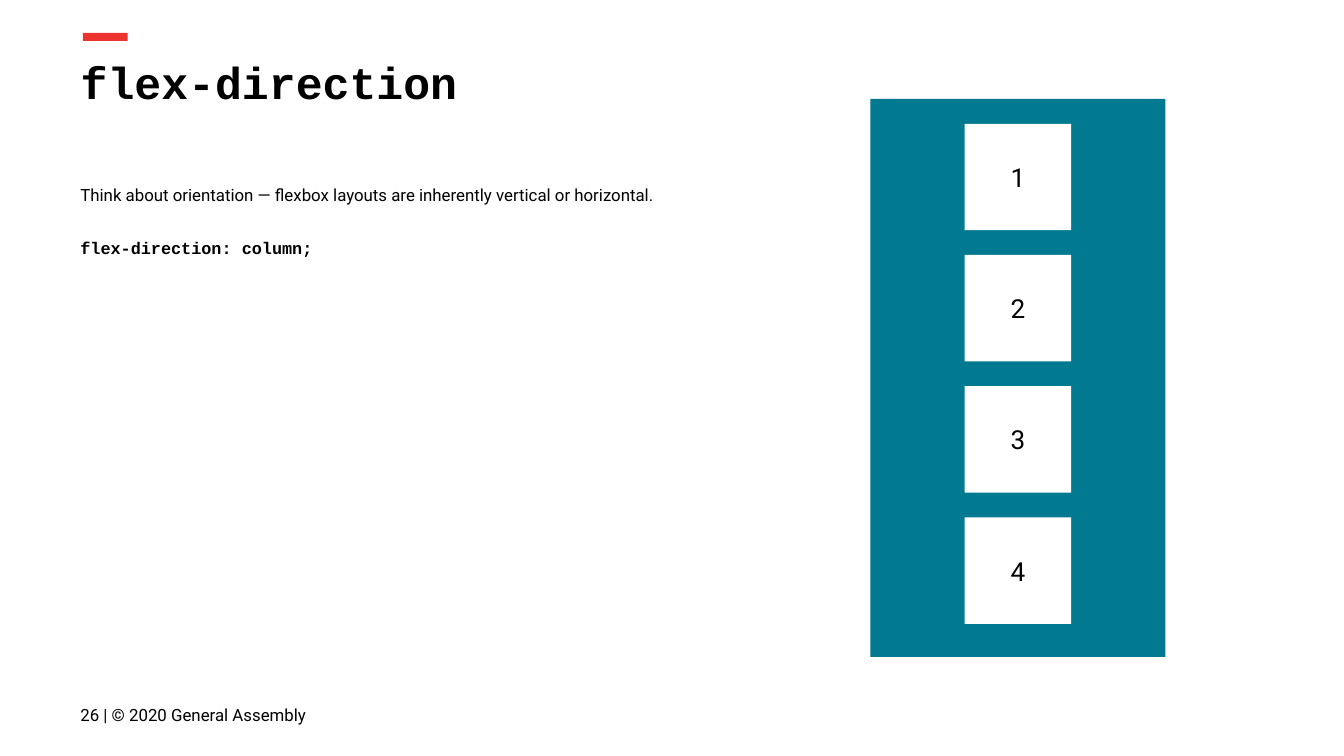
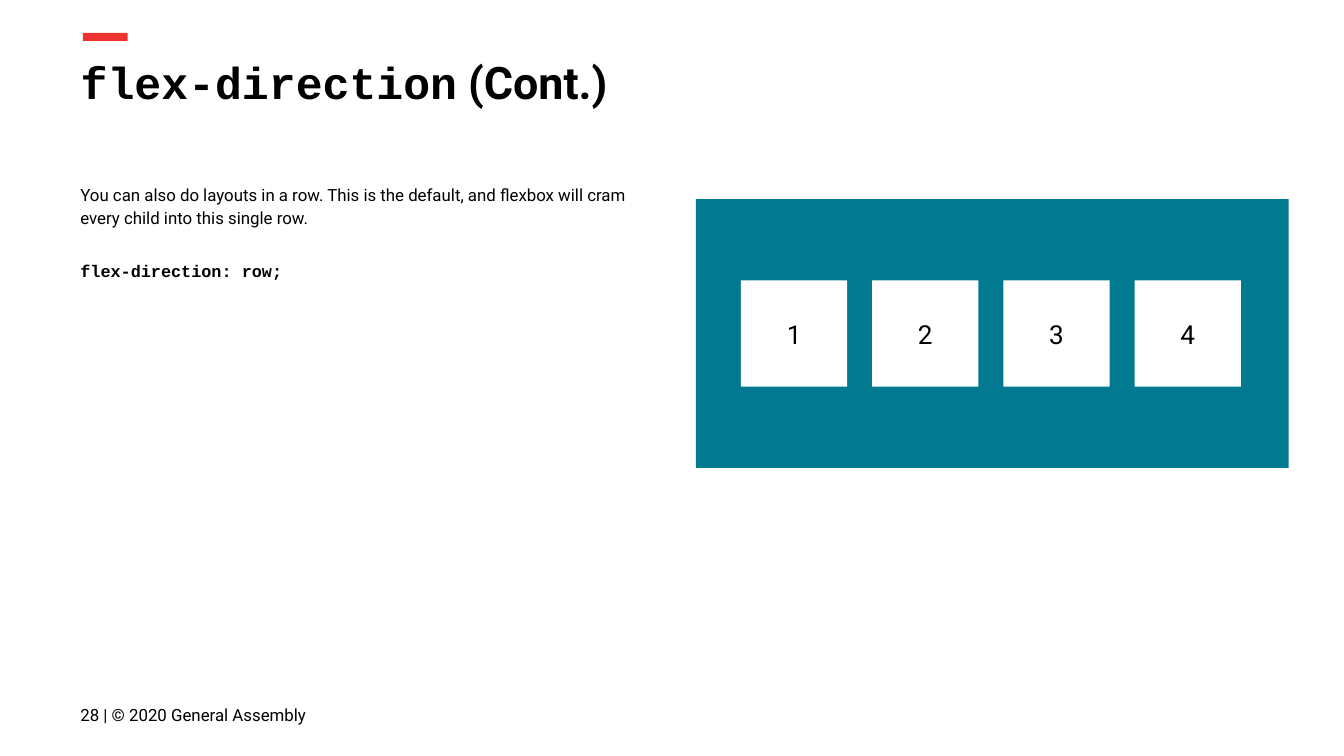
from pptx import Presentation
from pptx.dml.color import RGBColor
from pptx.enum.shapes import MSO_SHAPE
from pptx.enum.text import MSO_ANCHOR, MSO_AUTO_SIZE, PP_ALIGN
from pptx.util import Pt

HUES = {"red": "ED332F", "teal": "017991", "white": "FFFFFF", "black": "000000"}
SANS, CODE = "Roboto", "Courier New"
LEFT, PAD = 36, 7.2
SIDE, STEP = 57, 70.3


def hue(name):
    """Return the named colour."""
    return RGBColor.from_string(HUES[name])


def set_frame(shape, anchor=MSO_ANCHOR.TOP):
    """Give a shape's text frame the shared insets and wrapping."""
    frame = shape.text_frame
    frame.auto_size = MSO_AUTO_SIZE.NONE
    frame.word_wrap = True
    frame.vertical_anchor = anchor
    frame.margin_left = frame.margin_right = Pt(PAD)
    frame.margin_top = frame.margin_bottom = Pt(PAD)
    return frame


def add_run(para, text, size, font=SANS, bold=False):
    """Add one formatted run to a paragraph."""
    run = para.add_run()
    run.text = text
    run.font.size = Pt(size)
    run.font.name = font
    run.font.bold = bold
    run.font.color.rgb = hue("black")


def add_block(slide, box, fill):
    """Draw a flat rectangle without outline."""
    block = slide.shapes.add_shape(MSO_SHAPE.RECTANGLE, *map(Pt, box))
    block.shadow.inherit = False
    block.fill.solid()
    block.fill.fore_color.rgb = hue(fill)
    block.line.fill.background()
    return block


def add_title(slide, parts):
    """Place the red bar and the title, given as text and font pairs."""
    add_block(slide, (44.4, 17.6, 24, 4.3), "red")
    title = slide.shapes.title
    title.left, title.top, title.width, title.height = map(Pt, (LEFT, 22.3, 671, 45.4))
    para = set_frame(title).paragraphs[0]
    para.alignment = PP_ALIGN.LEFT
    for text, font in parts:
        add_run(para, text, 24, font, True)


def add_body(slide, width, text, code):
    """Place the explanation with its line of code below."""
    body = slide.shapes.add_textbox(Pt(LEFT), Pt(90), Pt(width), Pt(231))
    frame = set_frame(body)
    para = frame.paragraphs[0]
    para.line_spacing = 1.15
    add_run(para, text, 9)
    para = frame.add_paragraph()
    para.line_spacing = 1.15
    para.space_before = para.space_after = Pt(16)
    add_run(para, code, 9, CODE, True)


def add_foot(slide, page):
    """Place the page number and copyright line."""
    foot = slide.shapes.add_textbox(Pt(LEFT), Pt(367.2), Pt(186.5), Pt(31))
    para = set_frame(foot, MSO_ANCHOR.MIDDLE).paragraphs[0]
    add_run(para, f"{page} | © 2020 General Assembly", 9)


def add_flex(slide, box, lead, column):
    """Draw a panel with four squares along its main axis."""
    left, top, width, height = box
    add_block(slide, box, "teal")
    for i in range(4):
        shift = lead + i * STEP
        if column:
            x, y = left + (width - SIDE) / 2, top + shift
        else:
            x, y = left + shift, top + (height - SIDE) / 2
        item = add_block(slide, (x, y, SIDE, SIDE), "white")
        para = set_frame(item, MSO_ANCHOR.MIDDLE).paragraphs[0]
        para.alignment = PP_ALIGN.CENTER
        add_run(para, str(i + 1), 14)


def add_slide(deck, page, title, body, flex):
    """Build one slide from its title, body and flex panel."""
    slide = deck.slides.add_slide(deck.slide_layouts[5])
    add_title(slide, title)
    add_body(slide, *body)
    add_foot(slide, page)
    add_flex(slide, *flex)


def main():
    """Build both slides and save the deck."""
    deck = Presentation()
    deck.slide_width, deck.slide_height = Pt(720), Pt(405)
    name = ("flex-direction", CODE)
    add_slide(
        deck, 26, [name],
        (365, "Think about orientation — flexbox layouts are inherently vertical or horizontal.",
         "flex-direction: column;"),
        ((466.3, 53, 158, 299), 13.3, True),
    )
    add_slide(
        deck, 28, [name, (" (Cont.)", SANS)],
        (324, "You can also do layouts in a row. This is the default, and flexbox will cram "
         "every child into this single row.",
         "flex-direction: row;"),
        ((372.8, 106.7, 317.5, 144), 24.1, False),
    )
    deck.save("out.pptx")


if __name__ == "__main__":
    main()
